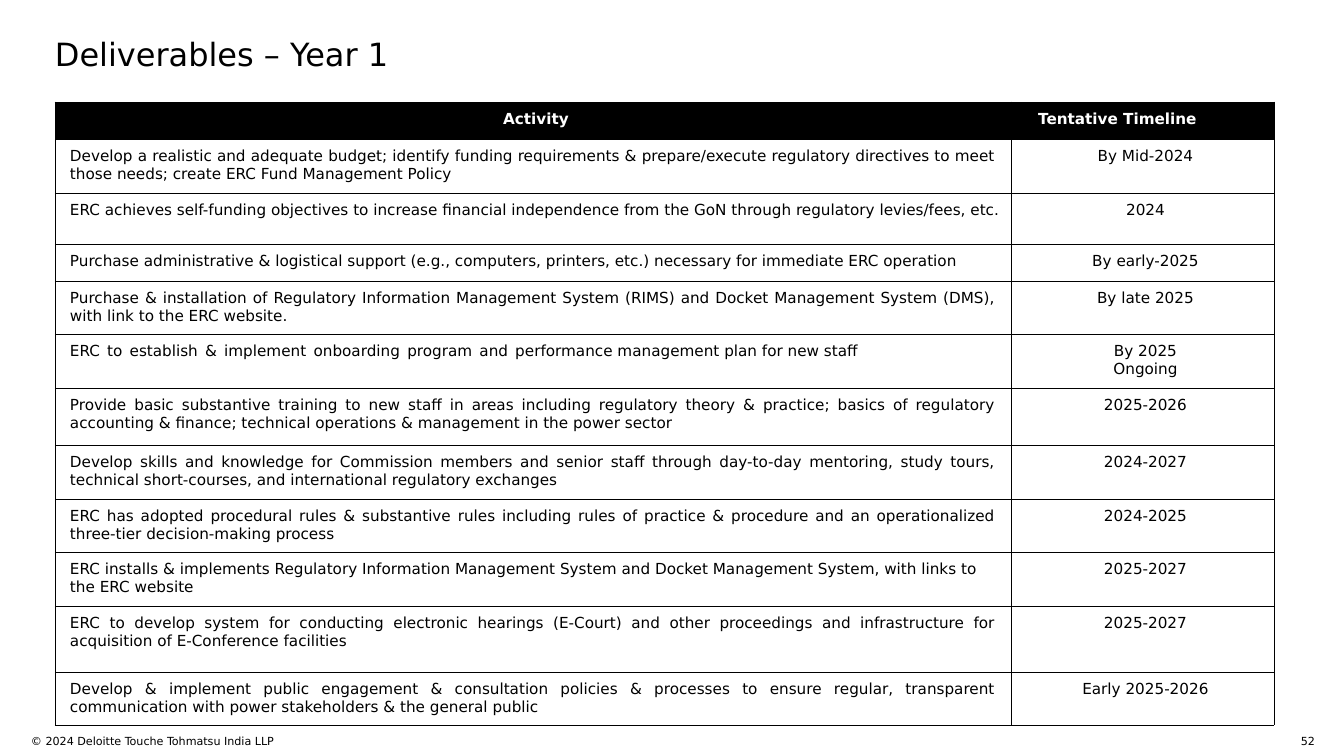
from lxml import etree
from pptx import Presentation
from pptx.dml.color import RGBColor
from pptx.enum.text import MSO_ANCHOR, PP_ALIGN
from pptx.oxml.ns import qn
from pptx.util import Pt

LEFT, MID, RIGHT, JUST = PP_ALIGN.LEFT, PP_ALIGN.CENTER, PP_ALIGN.RIGHT, PP_ALIGN.JUSTIFY
TOP = MSO_ANCHOR.TOP

# Content
TITLE = "Deliverables – Year 1"
FOOTER = "© 2024 Deloitte Touche Tohmatsu India LLP"
PAGE = "52"
HEADS = ("Activity", "Tentative Timeline")
# Activity, timeline lines, activity alignment, row height
TASKS = [
    ("Develop a realistic and adequate budget; identify funding requirements & prepare/execute regulatory "
     "directives to meet those needs; create ERC Fund Management Policy", ["By Mid-2024"], JUST, 54),
    ("ERC achieves self-funding objectives to increase financial independence from the GoN through "
     "regulatory levies/fees, etc.", ["2024"], LEFT, 51),
    ("Purchase administrative & logistical support (e.g., computers, printers, etc.) necessary for "
     "immediate ERC operation", ["By early-2025"], LEFT, 37),
    ("Purchase & installation of Regulatory Information Management System (RIMS) and Docket Management "
     "System (DMS), with link to the ERC website.", ["By late 2025"], JUST, 53),
    ("ERC to establish & implement onboarding program and performance management plan for new staff",
     ["By 2025", "Ongoing"], LEFT, 54),
    ("Provide basic substantive training to new staff in areas including regulatory theory & practice; "
     "basics of regulatory accounting & finance; technical operations & management in the power sector",
     ["2025-2026"], JUST, 57),
    ("Develop skills and knowledge for Commission members and senior staff through day-to-day mentoring, "
     "study tours, technical short-courses, and international regulatory exchanges",
     ["2024-2027"], JUST, 54),
    ("ERC has adopted procedural rules & substantive rules including rules of practice & procedure and an "
     "operationalized three-tier decision-making process", ["2024-2025"], JUST, 53),
    ("ERC installs & implements Regulatory Information Management System and Docket Management System, "
     "with links to the ERC website", ["2025-2027"], LEFT, 54),
    ("ERC to develop system for conducting electronic hearings (E-Court) and other proceedings and "
     "infrastructure for acquisition of E-Conference facilities", ["2025-2027"], JUST, 66),
    ("Develop & implement public engagement & consultation policies & processes to ensure regular, "
     "transparent communication with power stakeholders & the general public",
     ["Early 2025-2026"], JUST, 53),
]
WIDE = "ERC to establish & implement onboarding program and "  # words set with wider gaps

# Format
FONT = "DejaVu Sans"
COLORS = {"ink": "000000", "paper": "FFFFFF"}
WIDTHS = (956, 263)
HEAD_H = 37
INDENT = 6
HEAD_GAP = 56
INSETS = ("margin_left", "margin_top", "margin_right", "margin_bottom")


def px(n):
    return n * 10004


def color(key):
    return RGBColor.from_string(COLORS[key])


def add_run(para, text, size, ink="ink", bold=False, gap=0):
    run = para.add_run()
    run.text = text
    run.font.color.rgb = color(ink)
    look = {"name": FONT, "size": Pt(size), "bold": bold}
    for key, value in look.items():
        setattr(run.font, key, value)
    if gap:
        run.font._element.set("spc", str(gap))


def add_label(text, size, left, top, width, height, align=LEFT):
    frame = slide.shapes.add_textbox(px(left), px(top), px(width), px(height)).text_frame
    look = {"word_wrap": True, "vertical_anchor": TOP, **dict.fromkeys(INSETS, 0)}
    for key, value in look.items():
        setattr(frame, key, value)
    para = frame.paragraphs[0]
    para.alignment = align
    add_run(para, text, size)


def add_border(cell, weight):
    props = cell._tc.get_or_add_tcPr()
    for spot, side in enumerate(("lnL", "lnR", "lnT", "lnB")):
        line = etree.Element(qn("a:" + side), w=str(Pt(weight)))
        fill = etree.SubElement(line, qn("a:solidFill"))
        etree.SubElement(fill, qn("a:srgbClr"), val=COLORS["ink"])
        props.insert(spot, line)


def fill_cell(cell, lines, align, head=False, tail=0):
    cell.fill.solid()
    cell.fill.fore_color.rgb = color("ink" if head else "paper")
    add_border(cell, 0.75 if head else 0.25)
    cell.vertical_anchor = TOP
    for side in INSETS:
        setattr(cell, side, px(9))
    frame = cell.text_frame
    for i, text in enumerate(lines):
        para = frame.paragraphs[0] if i == 0 else frame.add_paragraph()
        para.alignment = align
        para.line_spacing = Pt(13.8)
        props = para._p.get_or_add_pPr()
        props.set("marL", str(px(INDENT)))
        props.set("marR", str(px(tail)))
        look = {"size": 12, "ink": "paper" if head else "ink", "bold": head}
        if text.startswith(WIDE):
            for word in WIDE.split():
                add_run(para, word, **look)
                add_run(para, " ", gap=180, **look)
            text = text[len(WIDE):]
        add_run(para, text, **look)


deck = Presentation()
deck.slide_width, deck.slide_height = px(1344), px(756)
slide = deck.slides.add_slide(deck.slide_layouts[6])

# Footer and title
add_label(FOOTER, 8.8, 31, 734, 590, 22)
add_label(PAGE, 8.8, 1281, 734, 34, 11, RIGHT)
add_label(TITLE, 25.2, 55, 35, 1230, 37)

# Table
heights = [HEAD_H] + [task[3] for task in TASKS]
table = slide.shapes.add_table(len(heights), len(WIDTHS), px(55), px(102),
                               px(sum(WIDTHS)), px(sum(heights))).table
table.first_row = table.horz_banding = False
for col, width in zip(table.columns, WIDTHS):
    col.width = px(width)
for row, height in zip(table.rows, heights):
    row.height = px(height)
for c, (head, tail) in enumerate(zip(HEADS, (0, HEAD_GAP))):
    fill_cell(table.cell(0, c), [head], MID, True, tail)
for r, (task, dates, align, _) in enumerate(TASKS, 1):
    fill_cell(table.cell(r, 0), [task], align, tail=INDENT if align == JUST else 0)
    fill_cell(table.cell(r, 1), dates, MID)

deck.save("out.pptx")
